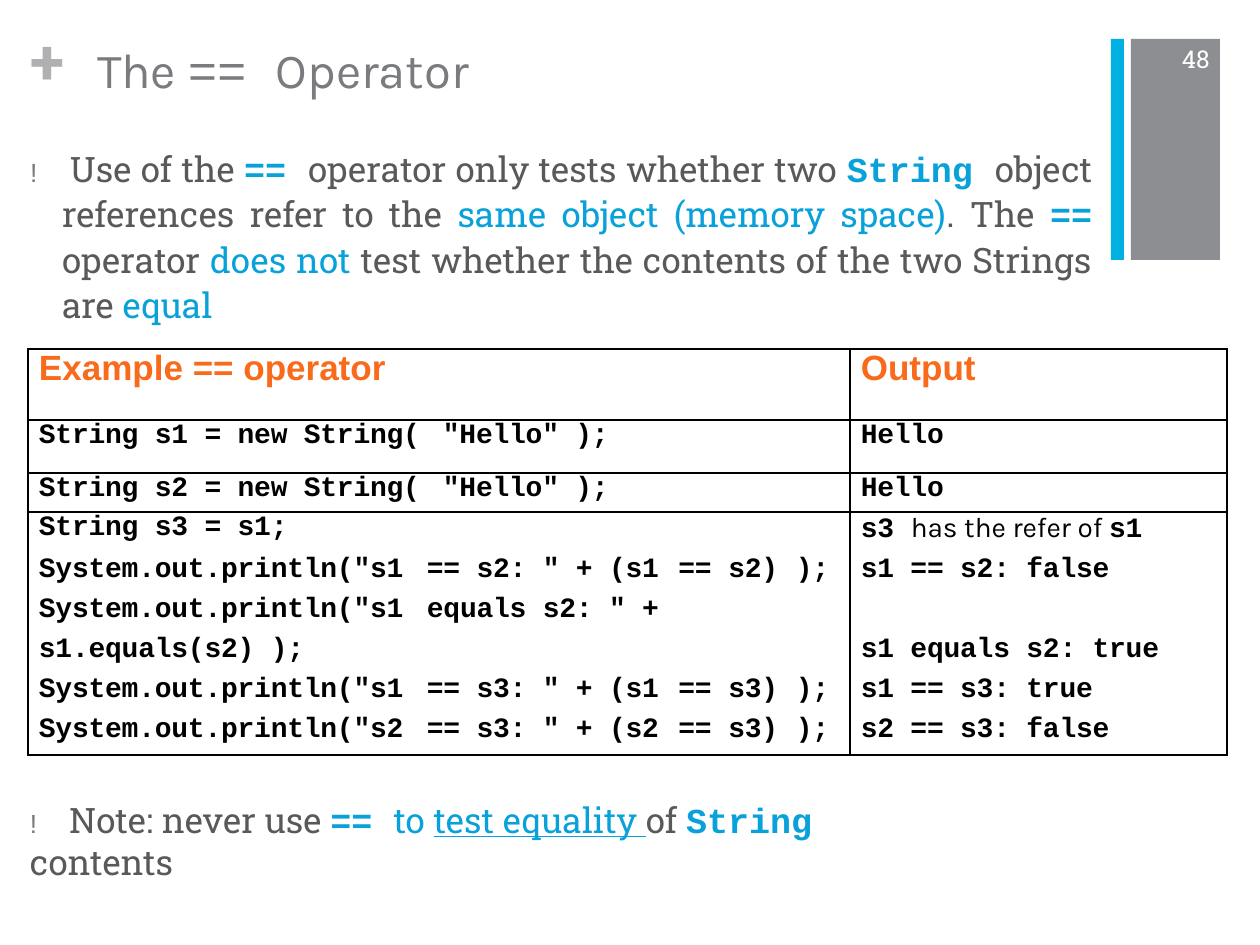
"""Build the slide about the == operator with its example table."""
from lxml.etree import SubElement
from pptx import Presentation
from pptx.dml.color import RGBColor
from pptx.enum.shapes import MSO_SHAPE
from pptx.enum.text import MSO_ANCHOR, MSO_AUTO_SIZE, PP_ALIGN
from pptx.oxml.ns import qn
from pptx.util import Pt

SCALE = 914400 / 126
COLORS = {"title": "797B7E", "plus": "AFB0B2", "text": "595959", "accent": "08A1D9", "head": "F96A1B",
          "black": "000000", "white": "FFFFFF", "gray": "8C8E91", "cyan": "00B1E1"}
SLAB, MONO, SANS, KARLA = "Roboto Slab", "Courier New", "Arial", "Karla"

STYLES = {
    "title": (KARLA, 28, "title", {}),
    "title code": (MONO, 28, "title", {}),
    "plus": (SLAB, 36, "plus", {"bold": True}),
    "number": (SLAB, 14, "white", {}),
    "mark": (SANS, 15, "title", {}),
    "text": (SLAB, 20, "text", {}),
    "key": (SLAB, 20, "accent", {}),
    "under": (SLAB, 20, "accent", {"underline": True}),
    "code": (MONO, 20, "accent", {"bold": True}),
    "head": (SANS, 20, "head", {"bold": True}),
    "cell": (MONO, 16, "black", {"bold": True}),
    "plain": (KARLA, 16, "black", {}),
}
SPACING = {"mark": 700, "cell": -10}

TITLE = [("The ", "title"), ("== ", "title code"), ("Operator", "title")]
RULE = [
    ("! ", "mark"), ("Use of the ", "text"), ("== ", "code"),
    ("operator only tests whether two ", "text"), ("String ", "code"),
    ("object references refer to the ", "text"), ("same object (memory space)", "key"),
    (". The ", "text"), ("== ", "code"), ("operator ", "text"), ("does not ", "key"),
    ("test whether the contents of the two Strings are ", "text"), ("equal", "key"),
]
NOTE = [
    ("! ", "mark"), ("Note: never use ", "text"), ("== ", "code"), ("to ", "key"),
    ("test equality ", "under"), ("of ", "text"), ("String ", "code"), ("contents", "text"),
]
BARS = [((1131, 39, 89, 221), "gray"), ((1111, 39, 13, 221), "cyan")]
BOXES = [
    ((29, 32, 45, 66), [("+", "plus")], {"line_spacing": Pt(37.5)}, (1, 0)),
    ((29, 144, 1063, 183), RULE, {"line_spacing": 1.08, "alignment": PP_ALIGN.JUSTIFY}, (33, -32)),
    ((29, 798, 897, 47), NOTE, {}, (1, 0)),
    ((1181, 44, 30, 30), [("48", "number")], {}, (1, 0)),
]

COLUMNS = [399, 243, 50, 67, 63, 377]
INDENTS = [11, 0, 0, 0, 9, 11]
CENTERED = (2, 3)
ROWS = [71, 53, 39, 42, 40, 40, 40, 40, 41]
PRINT = 'System.out.println("'
CELLS = [
    ["Example == operator", "", "", "", "", "Output"],
    ["String s1 = new String(", '"Hello" );', "", "", "", "Hello"],
    ["String s2 = new String(", '"Hello" );', "", "", "", "Hello"],
    ["String s3 = s1;", "", "", "", "", [("s3 ", "cell"), ("has the refer of ", "plain"), ("s1", "cell")]],
    [PRINT + "s1", '== s2: " + (s1', "==", "s2)", ");", "s1 == s2: false"],
    [PRINT + "s1", 'equals s2: " +', "", "", "", ""],
    ["s1.equals(s2) );", "", "", "", "", "s1 equals s2: true"],
    [PRINT + "s1", '== s3: " + (s1', "==", "s3)", ");", "s1 == s3: true"],
    [PRINT + "s2", '== s3: " + (s2', "==", "s3)", ");", "s2 == s3: false"],
]
BEFORE = {0: Pt(7.5), 1: Pt(6.3)}
NO_STYLE = "{2D5ABB26-0587-4C30-8999-92F81FD0307C}"


def px(*values):
    return [round(value * SCALE) for value in values]


def color(name):
    return RGBColor.from_string(COLORS[name])


def apply(target, values):
    for name, value in values.items():
        setattr(target, name, value)


def write(para, spans, values, margin=0, indent=0):
    apply(para, values)
    properties = para._p.get_or_add_pPr()
    for name, value in zip(("marL", "indent"), px(margin, indent)):
        properties.set(name, str(value))
    for text, style in spans:
        face, size, hue, extras = STYLES[style]
        span = para.add_run()
        span.text = text
        apply(span.font, {"name": face, "size": Pt(size), "bold": False, **extras})
        span.font.color.rgb = color(hue)
        if style in SPACING:
            span._r.get_or_add_rPr().set("spc", str(SPACING[style]))


def set_frame(frame, top=0):
    apply(frame, {"word_wrap": True, "auto_size": MSO_AUTO_SIZE.SHAPE_TO_FIT_TEXT,
                  "vertical_anchor": MSO_ANCHOR.TOP, "margin_left": 0, "margin_right": 0,
                  "margin_top": px(top)[0], "margin_bottom": 0})


def add_borders(cell, row, column):
    last = len(ROWS) - 1
    edges = {"L": column in (0, 5), "R": column in (4, 5) or row == 0,
             "T": row <= 2, "B": row <= 1 or row == last}
    properties = cell._tc.get_or_add_tcPr()
    for side, drawn in edges.items():
        if drawn:
            line = SubElement(properties, qn("a:ln" + side), w=str(Pt(1)))
            SubElement(SubElement(line, qn("a:solidFill")), qn("a:srgbClr"), val=COLORS["black"])
    cell.fill.background()


def add_example(page):
    table = page.shapes.add_table(len(ROWS), len(COLUMNS), *px(28, 349, sum(COLUMNS), sum(ROWS))).table
    apply(table, {"first_row": False, "horz_banding": False})
    table._tbl.tblPr.find(qn("a:tableStyleId")).text = NO_STYLE
    for column, width in zip(table.columns, COLUMNS):
        column.width = px(width)[0]
    for row, height in zip(table.rows, ROWS):
        row.height = px(height)[0]
    table.cell(0, 0).merge(table.cell(0, 4))
    for row, texts in enumerate(CELLS):
        for column, content in enumerate(texts):
            cell = table.cell(row, column)
            apply(cell, {"margin_left": 0, "margin_right": 0, "margin_top": 0, "margin_bottom": 0})
            add_borders(cell, row, column)
            if not content:
                continue
            style = "head" if row == 0 else "cell"
            spans = [(content, style)] if isinstance(content, str) else content
            values = {"alignment": PP_ALIGN.CENTER if column in CENTERED else PP_ALIGN.LEFT}
            if row in BEFORE:
                values["space_before"] = BEFORE[row]
            elif row != 3:
                values["line_spacing"] = Pt(18.4)
            margin = 16 if row in (1, 2) and column == 1 else INDENTS[column]
            write(cell.text_frame.paragraphs[0], spans, values, margin)


def main():
    deck = Presentation()
    deck.slide_width, deck.slide_height = px(1260, 945)
    page = deck.slides.add_slide(deck.slide_layouts[5])
    title = page.shapes.title
    apply(title, dict(zip(("left", "top", "width", "height"), px(29, -3, 1202, 127))))
    set_frame(title.text_frame, 53)
    write(title.text_frame.paragraphs[0], TITLE,
          {"line_spacing": Pt(27.9), "alignment": PP_ALIGN.LEFT}, 68)
    for place, hue in BARS:
        bar = page.shapes.add_shape(MSO_SHAPE.RECTANGLE, *px(*place))
        bar.shadow.inherit = False
        bar.fill.solid()
        bar.fill.fore_color.rgb = color(hue)
        bar.line.fill.background()
    add_example(page)
    for place, spans, values, indents in BOXES:
        box = page.shapes.add_textbox(*px(*place))
        set_frame(box.text_frame)
        write(box.text_frame.paragraphs[0], spans, values, *indents)
    deck.save("out.pptx")


if __name__ == "__main__":
    main()
